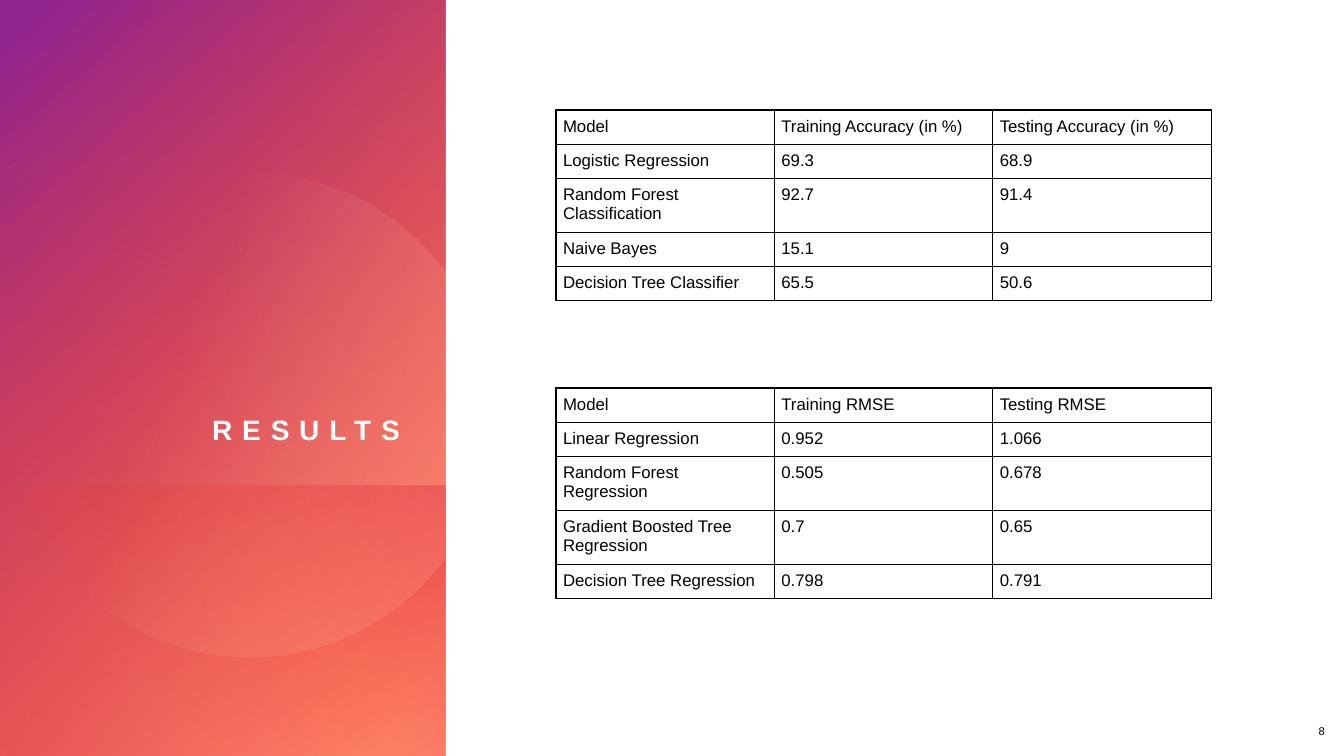
import math
from dataclasses import dataclass

import pptx
import pptx.dml.color
import pptx.enum.shapes
import pptx.enum.text
import pptx.oxml
import pptx.oxml.ns
import pptx.util

COLUMNS, ROWS = 160, 90
UNIT = pptx.util.Inches(1) / 12  # one grid step, both ways

ALIGN = pptx.enum.text.PP_ALIGN
ANCHOR = pptx.enum.text.MSO_ANCHOR


@dataclass(frozen=True)
class Theme:
    font: str = "Arial"
    white: str = "FFFFFF"
    ink: str = "000000"
    purple: str = "92248E"
    orange: str = "FE4A00"
    red: str = "DA002F"
    salmon: str = "FF907A"
    cream: str = "FFDBCC"
    title_size: int = 20
    table_size: int = 12
    page_size: int = 8
    border: int = 1


def grid(steps):
    return pptx.util.Emu(round(steps * UNIT))


def rgb(color):
    return pptx.dml.color.RGBColor.from_string(color)


def add_child(parent, tag, index=None, **attributes):
    child = pptx.oxml.parse_xml(f'<a:{tag} {pptx.oxml.ns.nsdecls("a")}/>')
    for name, value in attributes.items():
        child.set(name, str(value))
    parent.insert(len(parent) if index is None else index, child)
    return child


class SlideBuilder:
    def __init__(self, slide, theme):
        self.slide, self.theme = slide, theme
        slide.background.fill.solid()
        slide.background.fill.fore_color.rgb = rgb(theme.white)

    def gradient(self, shape, stops, angle):
        """Stops are (position %, colour, opacity %); the angle runs clockwise."""
        shape.shadow.inherit = False
        shape.line.fill.background()
        shape.fill.gradient()
        shape.fill.gradient_angle = 360 - angle
        for stop, (position, color, _) in zip(shape.fill.gradient_stops, stops):
            stop.position = position / 100
            stop.color.rgb = rgb(color)
        colors = shape._element.spPr.findall(".//" + pptx.oxml.ns.qn("a:srgbClr"))
        for color, (_, _, opacity) in zip(colors, stops):
            add_child(color, "alpha", val=opacity * 1000)

    def turned_panel(self, left, top, width, height, stops, angle):
        """A mirrored rectangle turned by 90 degrees, given by its visible box."""
        shift = (width - height) / 2
        panel = self.slide.shapes.add_shape(
            pptx.enum.shapes.MSO_SHAPE.RECTANGLE,
            grid(left + shift), grid(top - shift), grid(height), grid(width))
        panel.rotation = 90
        panel._element.spPr.xfrm.set("flipH", "1")
        self.gradient(panel, stops, angle)

    def cut_circle(self, center_x, center_y, radius, right_edge, stops, angle):
        """A circle sliced off by a vertical edge on its right."""
        start = math.acos((right_edge - center_x) / radius)
        steps = 120
        turns = [start + (2 * math.pi - 2 * start) * i / steps for i in range(steps + 1)]
        points = [(grid(center_x + radius * math.cos(turn)),
                   grid(center_y + radius * math.sin(turn))) for turn in turns]
        outline = self.slide.shapes.build_freeform(*points[0])
        outline.add_line_segments(points[1:], close=True)
        self.gradient(outline.convert_to_shape(), stops, angle)

    def run(self, paragraph, words, size, color, bold=False):
        run = paragraph.add_run()
        run.text = words
        run.font.name = self.theme.font
        run.font.size = pptx.util.Pt(size)
        run.font.color.rgb = rgb(color)
        run.font.bold = bold
        return run

    def text(self, left, top, width, height, words, size, color, anchor,
             inset=None, space_after=0, bold=False, tracking=0):
        box = self.slide.shapes.add_textbox(*map(grid, (left, top, width, height)))
        frame = box.text_frame
        frame.word_wrap = True
        frame.vertical_anchor = anchor
        if inset is not None:
            frame.margin_left = frame.margin_right = grid(inset)
            frame.margin_top = frame.margin_bottom = grid(inset)
        paragraph = frame.paragraphs[0]
        paragraph.alignment = ALIGN.RIGHT
        paragraph.space_after = pptx.util.Pt(space_after)
        run = self.run(paragraph, words, size, color, bold)
        if tracking:
            run.font._element.set("spc", str(tracking * 100))

    def table(self, left, top, column_width, row_height, inset, records):
        count, width = len(records), len(records[0])
        table = self.slide.shapes.add_table(
            count, width, grid(left), grid(top),
            grid(column_width * width), grid(row_height * count)).table
        table.first_row = table.horz_banding = False
        for row, record in enumerate(records):
            for column, words in enumerate(record):
                cell = table.cell(row, column)
                cell.fill.background()
                cell.margin_left = cell.margin_right = grid(inset)
                cell.margin_top = cell.margin_bottom = grid(inset)
                self.run(cell.text_frame.paragraphs[0], words,
                         self.theme.table_size, self.theme.ink)
                self.borders(cell)

    def borders(self, cell):
        properties = cell._tc.get_or_add_tcPr()
        for index, side in enumerate(("lnL", "lnR", "lnT", "lnB")):
            line = add_child(properties, side, index, w=pptx.util.Pt(self.theme.border))
            add_child(add_child(line, "solidFill"), "srgbClr", val=self.theme.ink)


ACCURACY = [
    ("Model", "Training Accuracy (in %)", "Testing Accuracy (in %)"),
    ("Logistic Regression", "69.3", "68.9"),
    ("Random Forest Classification", "92.7", "91.4"),
    ("Naive Bayes", "15.1", "9"),
    ("Decision Tree Classifier", "65.5", "50.6"),
]
RMSE = [
    ("Model", "Training RMSE", "Testing RMSE"),
    ("Linear Regression", "0.952", "1.066"),
    ("Random Forest Regression", "0.505", "0.678"),
    ("Gradient Boosted Tree Regression", "0.7", "0.65"),
    ("Decision Tree Regression", "0.798", "0.791"),
]


def main():
    deck = pptx.Presentation()
    deck.slide_width, deck.slide_height = grid(COLUMNS), grid(ROWS)
    theme = Theme()
    results = SlideBuilder(deck.slides.add_slide(deck.slide_layouts[6]), theme)

    # Coloured side band: two full-height washes, a lower glow, a cut circle
    band, glow_top = 53, 57.8
    results.turned_panel(0, 0, band, ROWS,
                         [(8, theme.salmon, 100), (100, theme.red, 72)], 60)
    results.turned_panel(0, 0, band, ROWS,
                         [(0, theme.orange, 0), (96, theme.purple, 100)], 40)
    results.turned_panel(0, glow_top, band, ROWS - glow_top,
                         [(2, theme.red, 35), (67, theme.orange, 0)], 130)
    results.cut_circle(29.7, 49.4, 28.8, band,
                       [(39, theme.cream, 0), (100, theme.salmon, 29)], 21.6)

    # Heading and page number
    results.text(5, 13.5, 42.6, 39.6, "RESULTS", theme.title_size, theme.white,
                 ANCHOR.BOTTOM, inset=0, bold=True, tracking=7)
    results.text(153.1, 84.1, 5.8, 5.9, "8", theme.page_size, theme.ink,
                 ANCHOR.MIDDLE, space_after=6)

    # Score tables
    for top, records in ((13.1, ACCURACY), (46.2, RMSE)):
        results.table(66.2, top, 26, 3.9, 0.83, records)

    deck.save("out.pptx")


if __name__ == "__main__":
    main()
